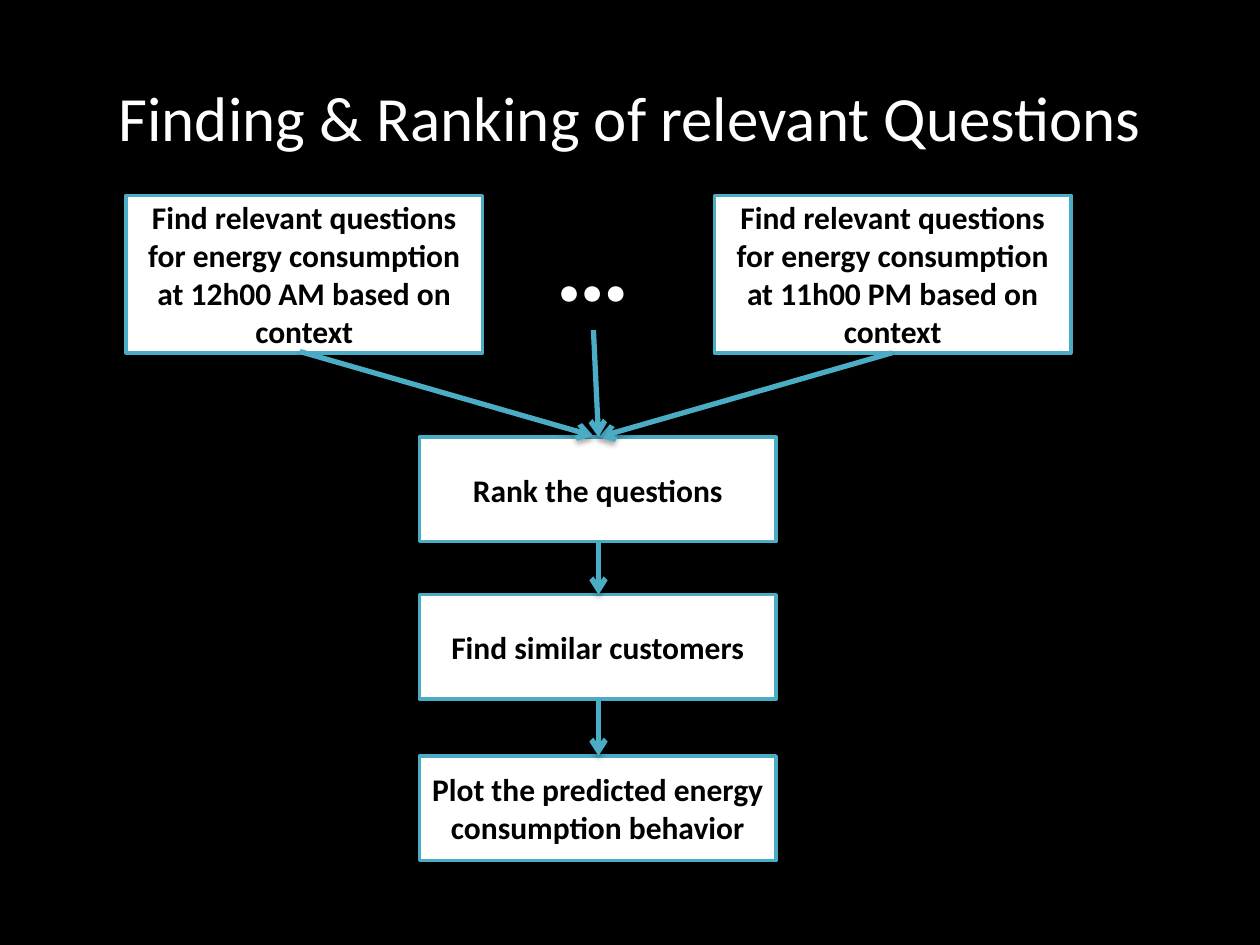
from dataclasses import dataclass

from lxml import etree
from pptx import Presentation
from pptx.dml.color import RGBColor
from pptx.enum.shapes import MSO_CONNECTOR, MSO_SHAPE
from pptx.enum.text import MSO_ANCHOR, MSO_AUTO_SIZE, PP_ALIGN
from pptx.oxml import parse_xml
from pptx.oxml.ns import nsdecls, qn
from pptx.shapes.base import BaseShape
from pptx.slide import Slide
from pptx.util import Inches, Pt

BLACK, WHITE, TEAL = "000000", "FFFFFF", "4BACC6"
BOX_WIDTH, STEP_HEIGHT, FIND_HEIGHT = 2.83, 0.83, 1.25
STEP_LEFT, FIND_TOP = 3.33, 1.55
RANK_TOP, SIMILAR_TOP, PLOT_TOP = 3.47, 4.72, 6.0
CENTER = 4.75

TITLE_FONT = {"name": "Calibri", "size": Pt(36)}
BOX_FONT = {"name": "Calibri", "size": Pt(18), "bold": True}
DOTS_FONT = {"name": "Calibri", "size": Pt(60), "bold": True}

SHADOW = (
    f'<a:effectLst {nsdecls("a")}>'
    '<a:outerShdw blurRad="40000" dist="23000" dir="5400000" rotWithShape="0">'
    f'<a:srgbClr val="{BLACK}"><a:alpha val="35000"/></a:srgbClr>'
    "</a:outerShdw></a:effectLst>"
)


@dataclass
class Box:
    text: str
    left: float
    top: float
    height: float = STEP_HEIGHT


@dataclass
class Arrow:
    start: tuple[float, float]
    end: tuple[float, float]


def find_text(time: str) -> str:
    return f"Find relevant questions for energy consumption at {time} based on context"


BOXES = [
    Box(find_text("12h00 AM"), 1, FIND_TOP, FIND_HEIGHT),
    Box(find_text("11h00 PM"), 5.67, FIND_TOP, FIND_HEIGHT),
    Box("Rank the questions", STEP_LEFT, RANK_TOP),
    Box("Find similar customers", STEP_LEFT, SIMILAR_TOP),
    Box("Plot the predicted energy consumption behavior", STEP_LEFT, PLOT_TOP),
]
ARROWS = [
    Arrow((2.38, 2.79), (4.71, 3.46)),
    Arrow((7.08, 2.8), (CENTER, RANK_TOP)),
    Arrow((4.71, 2.62), (CENTER, RANK_TOP)),
    Arrow((CENTER, RANK_TOP + STEP_HEIGHT), (CENTER, SIMILAR_TOP)),
    Arrow((CENTER, SIMILAR_TOP + STEP_HEIGHT), (CENTER, PLOT_TOP)),
]


def color(value: str) -> RGBColor:
    return RGBColor.from_string(value)


def write_text(shape: BaseShape, text: str, font: dict, text_color: str,
               align: PP_ALIGN, frame: dict) -> None:
    for name, value in frame.items():
        setattr(shape.text_frame, name, value)
    paragraph = shape.text_frame.paragraphs[0]
    paragraph.alignment = align
    run = paragraph.add_run()
    run.text = text
    for name, value in font.items():
        setattr(run.font, name, value)
    run.font.color.rgb = color(text_color)


def draw_box(slide: Slide, box: Box) -> None:
    shape = slide.shapes.add_shape(
        MSO_SHAPE.RECTANGLE, Inches(box.left), Inches(box.top),
        Inches(BOX_WIDTH), Inches(box.height))
    shape.shadow.inherit = False
    shape.fill.solid()
    shape.fill.fore_color.rgb = color(WHITE)
    shape.line.color.rgb = color(TEAL)
    shape.line.width = Pt(2)
    write_text(shape, box.text, BOX_FONT, BLACK, PP_ALIGN.CENTER,
               {"word_wrap": True, "vertical_anchor": MSO_ANCHOR.MIDDLE})


def draw_arrow(slide: Slide, arrow: Arrow) -> None:
    points = [Inches(value) for value in arrow.start + arrow.end]
    connector = slide.shapes.add_connector(MSO_CONNECTOR.STRAIGHT, *points)
    connector.line.color.rgb = color(TEAL)
    connector.line.width = Pt(3)
    etree.SubElement(connector.line._get_or_add_ln(), qn("a:tailEnd"), type="arrow")
    connector._element.spPr.append(parse_xml(SHADOW))


def main() -> None:
    presentation = Presentation()
    presentation.slide_width, presentation.slide_height = Inches(10), Inches(7.5)
    slide = presentation.slides.add_slide(presentation.slide_layouts[6])
    slide.background.fill.solid()
    slide.background.fill.fore_color.rgb = color(BLACK)

    # Title
    title = slide.shapes.add_textbox(Inches(0.5), Inches(0.3), Inches(9), Inches(1.25))
    write_text(title, "Finding & Ranking of relevant Questions", TITLE_FONT, WHITE,
               PP_ALIGN.CENTER,
               {"word_wrap": True, "vertical_anchor": MSO_ANCHOR.MIDDLE})

    # Flow boxes, with dots for the hours in between
    for box in BOXES:
        draw_box(slide, box)
    dots = slide.shapes.add_textbox(Inches(4.31), Inches(1.51), Inches(0.8), Inches(1.11))
    write_text(dots, "…", DOTS_FONT, WHITE, PP_ALIGN.LEFT,
               {"word_wrap": False, "auto_size": MSO_AUTO_SIZE.SHAPE_TO_FIT_TEXT})

    # Arrows
    for arrow in ARROWS:
        draw_arrow(slide, arrow)

    presentation.save("out.pptx")


if __name__ == "__main__":
    main()
